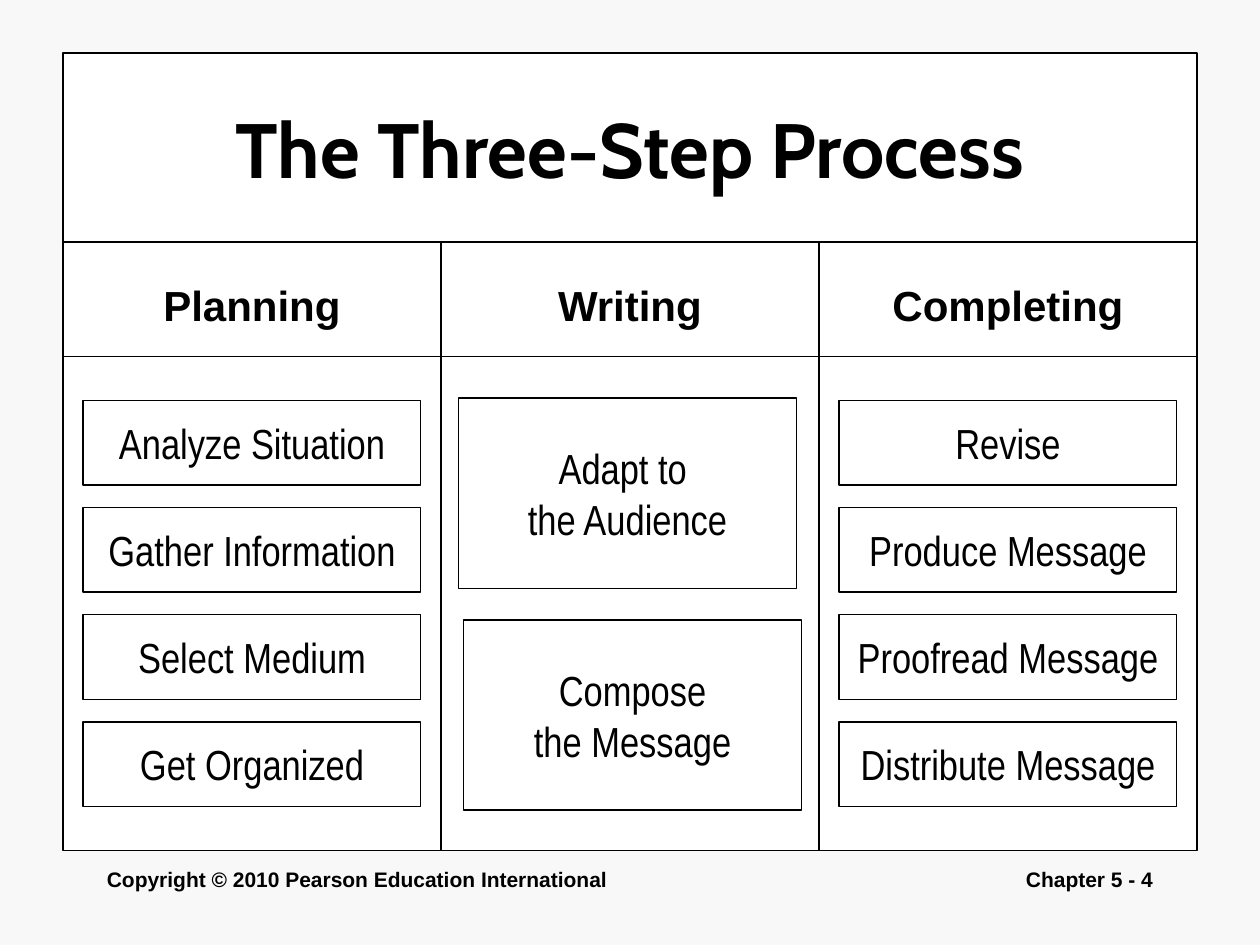
from pptx import Presentation
from pptx.dml.color import RGBColor
from pptx.enum.shapes import MSO_SHAPE as Shape
from pptx.enum.text import MSO_ANCHOR as Anchor, PP_ALIGN as Align
from pptx.util import Inches, Pt

BLACK = RGBColor(0x00, 0x00, 0x00)
WHITE = RGBColor(0xFF, 0xFF, 0xFF)
PALE_GRAY = RGBColor(0xF8, 0xF8, 0xF8)

LEFT, COLUMN_WIDTH = 0.5, 3
TITLE_TOP, HEADER_TOP, BODY_TOP, BODY_BOTTOM = 0.42, 1.92, 2.83, 6.75
STEP_INSET, STEP_WIDTH = 0.16, 2.68
STEP_TOP, STEP_HEIGHT, STEP_PITCH = 3.18, 0.67, 0.85
STAGE_HEIGHT = 1.51

HEADERS = ["Planning", "Writing", "Completing"]
STEPS = {
    0: ["Analyze Situation", "Gather Information", "Select Medium", "Get Organized"],
    2: ["Revise", "Produce Message", "Proofread Message", "Distribute Message"],
}
STAGES = [
    (3.64, 3.16, "Adapt to \nthe Audience"),
    (3.68, 4.92, "Compose\nthe Message"),
]


def column_left(column):
    return LEFT + column * COLUMN_WIDTH


def write(frame, text, font_name, size, bold, align, line_spacing=None):
    frame.text = text
    for paragraph in frame.paragraphs:
        paragraph.alignment = align
        paragraph.line_spacing = line_spacing
        paragraph.font.name = font_name
        paragraph.font.size = Pt(size)
        paragraph.font.bold = bold
        paragraph.font.color.rgb = BLACK


def add_panel(slide, left, top, width, height):
    shape = slide.shapes.add_shape(
        Shape.RECTANGLE, Inches(left), Inches(top), Inches(width), Inches(height))
    shape.shadow.inherit = False
    shape.fill.solid()
    shape.fill.fore_color.rgb = WHITE
    shape.line.color.rgb = BLACK
    shape.line.width = Pt(0.75)
    return shape


def add_label(slide, box, text, font_name, size=24, bold=False,
              line_spacing=None, wrap=False):
    frame = add_panel(slide, *box).text_frame
    frame.word_wrap = wrap
    frame.vertical_anchor = Anchor.MIDDLE
    write(frame, text, font_name, size, bold, Align.CENTER, line_spacing)


def add_footer(slide, left, width, text, align):
    box = slide.shapes.add_textbox(
        Inches(left), Inches(6.83), Inches(width), Inches(0.5))
    box.text_frame.word_wrap = True
    write(box.text_frame, text, "Arial", 12, True, align)


def add_columns(slide):
    for column, header in enumerate(HEADERS):
        left = column_left(column)
        add_label(slide, (left, HEADER_TOP, COLUMN_WIDTH, BODY_TOP - HEADER_TOP),
                  header, "Arial", bold=True, line_spacing=1.2)
        add_panel(slide, left, BODY_TOP, COLUMN_WIDTH, BODY_BOTTOM - BODY_TOP)


def add_steps(slide):
    for column, steps in STEPS.items():
        for row, step in enumerate(steps):
            box = (column_left(column) + STEP_INSET, STEP_TOP + row * STEP_PITCH,
                   STEP_WIDTH, STEP_HEIGHT)
            add_label(slide, box, step, "Arial Narrow")
    for left, top, stage in STAGES:
        add_label(slide, (left, top, STEP_WIDTH, STAGE_HEIGHT), stage, "Arial Narrow")


def main():
    presentation = Presentation()
    presentation.slide_width = Inches(10)
    presentation.slide_height = Inches(7.5)
    slide = presentation.slides.add_slide(presentation.slide_layouts[6])
    slide.background.fill.solid()
    slide.background.fill.fore_color.rgb = PALE_GRAY

    add_footer(slide, 0.75, 6.17,
               "Copyright © 2010 Pearson Education International", Align.LEFT)
    add_footer(slide, 7.17, 2.08, "Chapter 5 - 4", Align.RIGHT)
    add_label(slide, (LEFT, TITLE_TOP, 3 * COLUMN_WIDTH, HEADER_TOP - TITLE_TOP),
              "The Three-Step Process", "Cabin", size=44, bold=True, wrap=True)
    add_columns(slide)
    add_steps(slide)
    presentation.save("out.pptx")


if __name__ == "__main__":
    main()
